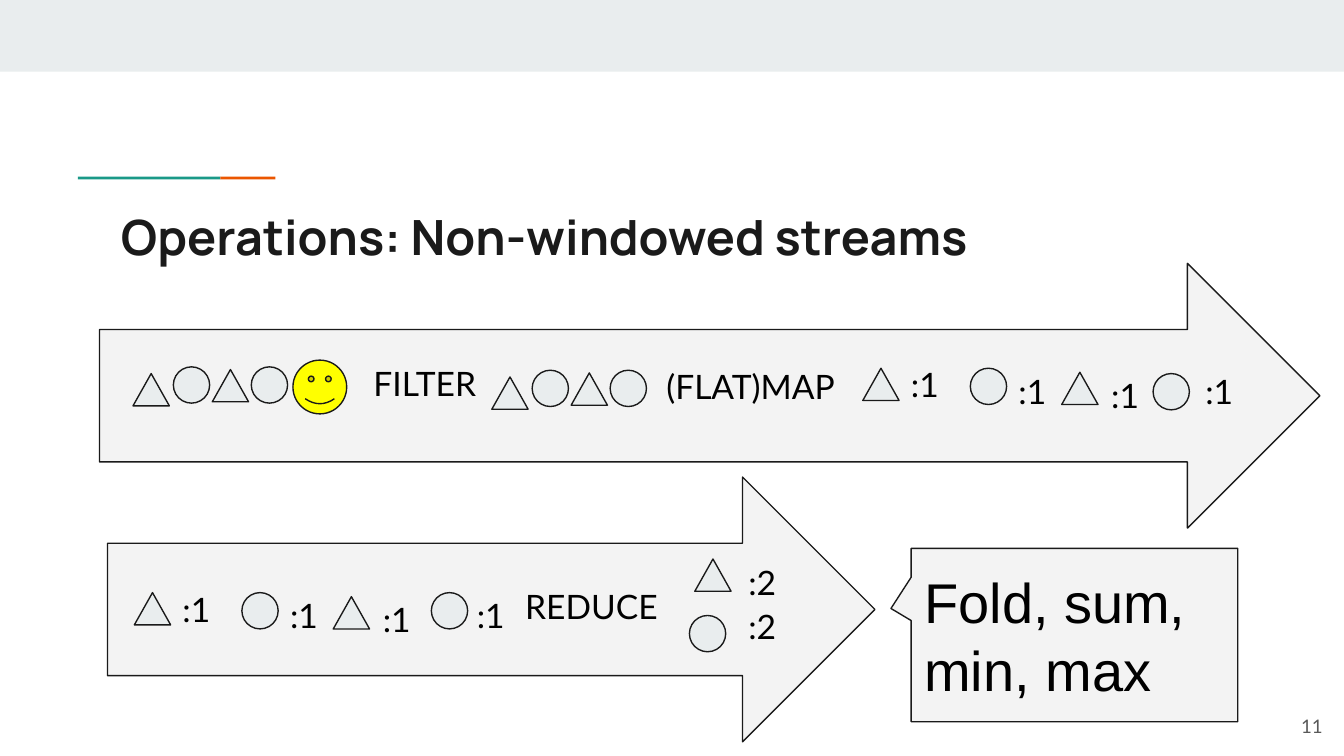
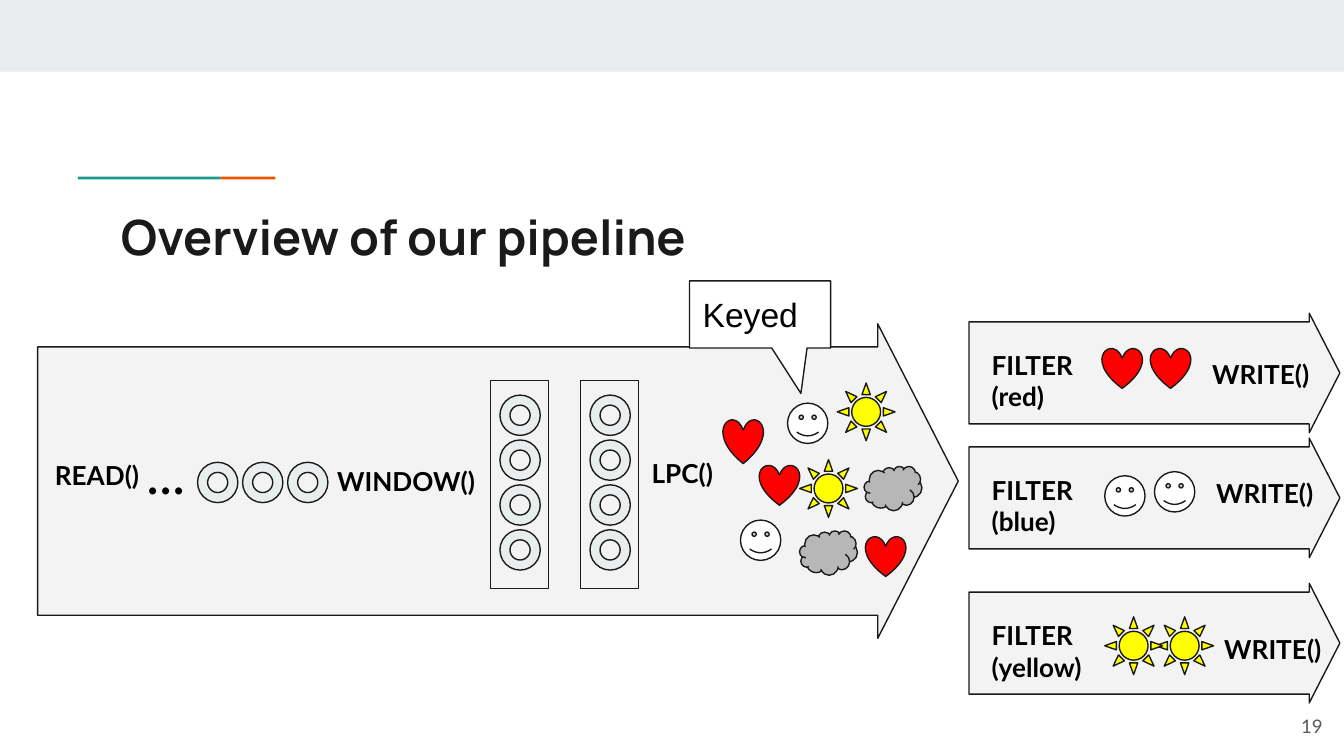
from pptx import Presentation
from pptx.dml.color import RGBColor
from pptx.enum.shapes import MSO_SHAPE as SHAPE
from pptx.enum.text import MSO_ANCHOR as ANCHOR, MSO_AUTO_SIZE as AUTO, PP_ALIGN as ALIGN
from pptx.util import Inches, Pt

# Lengths are grid cells: 100 columns across a 16:9 slide, square cells
COLS, ROWS = 100, 56.25
CELL = Inches(0.1)

INK, BLACK, NUMBER = "1A1A1A", "000000", "595959"
BAND, TEAL, ORANGE = "E9EDEE", "1A9988", "EB5600"
PANEL, WHITE, YELLOW, RED, GREY = "F3F3F3", "FFFFFF", "FFFF00", "FF0000", "B7B7B7"

# Stream elements: preset, fill, width, height
ICONS = {
    "triangle": (SHAPE.ISOSCELES_TRIANGLE, BAND, 2.7, 2.4),
    "dot": (SHAPE.OVAL, BAND, 2.7, 2.7),
    "big face": (SHAPE.SMILEY_FACE, YELLOW, 4, 4),
    "face": (SHAPE.SMILEY_FACE, WHITE, 3, 3),
    "donut": (SHAPE.DONUT, BAND, 3, 3),
    "heart": (SHAPE.HEART, RED, 3, 3),
    "tall heart": (SHAPE.HEART, RED, 3, 3.3),
    "sun": (SHAPE.SUN, YELLOW, 4.3, 4.3),
    "cloud": (SHAPE.CLOUD, GREY, 4.3, 3.3),
}
PIPE_ARROW = (0.853, 0.256)


def rgb(hex_color):
    return RGBColor.from_string(hex_color)


def cells(*values):
    return [int(v * CELL) for v in values]


# Text
def write(tf, text, size, font="Lato", color=BLACK, bold=False,
          align=ALIGN.LEFT, anchor=ANCHOR.TOP):
    tf.text = text
    tf.word_wrap = True
    tf.auto_size = AUTO.NONE
    tf.vertical_anchor = anchor
    tf.margin_left = tf.margin_right = tf.margin_top = tf.margin_bottom = CELL
    for p in tf.paragraphs:
        p.alignment = align
        for r in p.runs:
            r.font.name, r.font.size, r.font.bold = font, Pt(size), bold
            r.font.color.rgb = rgb(color)


def add_label(s, text, x, y, w, h=5.9, size=18, **style):
    write(s.shapes.add_textbox(*cells(x, y, w, h)).text_frame, text, size, **style)


def add_step(s, text, x, y, w, h=5):
    add_label(s, text, x, y, w, h, size=14, bold=True)


# Shapes
def add_preset(s, preset, x, y, w, h, fill=None, line=INK, adj=()):
    sp = s.shapes.add_shape(preset, *cells(x, y, w, h))
    sp.shadow.inherit = False
    if fill:
        sp.fill.solid()
        sp.fill.fore_color.rgb = rgb(fill)
    else:
        sp.fill.background()
    if line:
        sp.line.color.rgb = rgb(line)
        sp.line.width = Pt(0.75)
    else:
        sp.line.fill.background()
    for i, value in enumerate(adj):
        sp.adjustments[i] = value
    return sp


def add_arrow(s, x, y, w, h, adj=(0.5, 0.5)):
    add_preset(s, SHAPE.RIGHT_ARROW, x, y, w, h, PANEL, adj=adj)


def add_icons(s, name, *points):
    preset, fill, w, h = ICONS[name]
    for x, y in points:
        add_preset(s, preset, x, y, w, h, fill)


def add_callout(s, preset, text, box, fill, adj, size):
    sp = add_preset(s, preset, *box, fill, adj=adj)
    write(sp.text_frame, text, size, font="Arial", anchor=ANCHOR.MIDDLE)


# Shared slide parts
def decorate(layout, s):
    """Draw the band and the two-colour rule, then move them to the layout."""
    for color, box in ((BAND, (0, 0, COLS, 5.33)),
                       (ORANGE, (16.4, 13.15, 4.1, 0.2)),
                       (TEAL, (5.8, 13.15, 10.6, 0.2))):
        sp = add_preset(s, SHAPE.RECTANGLE, *box, color, line=None)
        layout.shapes.element.insert(2, sp.element)


def add_slide(prs, layout, title, number):
    s = prs.slides.add_slide(layout)
    sp = s.shapes.title
    sp.left, sp.top, sp.width, sp.height = cells(8, 14.4, 84.1, 5.9)
    write(sp.text_frame, title, 26, font="Manrope", color=INK, bold=True)
    add_label(s, number, 93.4, 51.9, 6, 4.3, size=10, color=NUMBER,
              align=ALIGN.RIGHT, anchor=ANCHOR.MIDDLE)
    return s


# Slide 1 parts
def add_mixed_run(s, x, y):
    """Triangle, dot, triangle, dot."""
    add_icons(s, "triangle", (x, y + 0.5), (x + 5.9, y + 0.2))
    add_icons(s, "dot", (x + 3, y), (x + 8.8, y))


def add_counted_run(s, x, y, last_dot):
    """The same four elements, each followed by its count."""
    add_icons(s, "triangle", (x, y + 1.3), (x + 14.8, y + 1.6))
    add_icons(s, "dot", (x + 8, y + 1.3), last_dot)
    for dx, dy in ((2.6, 0), (10.6, 0.5), (17.5, 0.8), (24.5, 0.5)):
        add_label(s, ":1", x + dx, y + dy, 5.4, 4)


def draw_operations(s):
    # Filter and map
    add_arrow(s, 7.4, 19.6, 90.8, 19.7)
    add_mixed_run(s, 9.9, 27.3)
    add_icons(s, "big face", (21.8, 26.8))
    add_label(s, "FILTER", 26.8, 26, 9.9)
    add_mixed_run(s, 36.6, 27.55)
    add_label(s, "(FLAT)MAP", 48.6, 26.2, 15.6)
    add_counted_run(s, 64.2, 26.1, last_dot=(85.8, 27.8))

    # Reduce
    add_arrow(s, 8, 35.5, 57.1, 19.7)
    add_counted_run(s, 10, 42.8, last_dot=(32.1, 44.1))
    add_label(s, "REDUCE", 38.1, 42.6, 12)
    add_icons(s, "triangle", (51.7, 41.6))
    add_icons(s, "dot", (51.3, 45.8))
    for y in (40.8, 44.1):
        add_label(s, ":2", 54.7, y, 5.4, 4)
    add_callout(s, SHAPE.RECTANGULAR_CALLOUT, "Fold, sum, min, max",
                (67.8, 40.8, 24.3, 12.9), PANEL, (-0.562, -0.153), 30)


# Slide 2 parts
def add_window(s, x, y=28.3):
    add_preset(s, SHAPE.RECTANGLE, x, y, 4.3, 15.5)
    add_icons(s, "donut", *((x + 0.7, y + 1.1 + 3.34 * i) for i in range(4)))


def add_branch(s, y, key, icon, points, write_at):
    add_arrow(s, 72.1, y, 27.6, 8.9, PIPE_ARROW)
    add_step(s, f"FILTER\n({key})", 72.8, y + 1.7, 9.9)
    add_icons(s, icon, *points)
    add_step(s, "WRITE()", *write_at, 10.5)


def draw_pipeline(s):
    add_arrow(s, 2.8, 24.1, 68.5, 23.4, PIPE_ARROW)

    # Read and window
    add_step(s, "READ()", 3.1, 33.2, 9.1)
    add_label(s, "...", 9.9, 31.6, 5.5, size=30)
    add_icons(s, "donut", *((14.7 + 3.35 * i, 34.4) for i in range(3)))
    add_step(s, "WINDOW()", 24.1, 33.6, 12.4, 8)
    for x in (36.5, 43.2):
        add_window(s, x)
    add_step(s, "LPC()", 47.5, 33, 8.2, 5.9)

    # Keyed elements
    add_icons(s, "heart", (64.4, 39.9), (56.5, 34.6))
    add_icons(s, "tall heart", (53.8, 31.2))
    add_icons(s, "sun", (62.3, 28.5), (59.5, 34.2))
    add_icons(s, "face", (55.1, 38.7), (58.6, 30))
    add_icons(s, "cloud", (59.5, 39.5), (64.3, 34.7))
    add_callout(s, SHAPE.ROUNDED_RECTANGULAR_CALLOUT, "Keyed",
                (51.3, 20.9, 10.5, 5), WHITE, (0.29, 1.175, 0), 18)

    # One branch for each key
    add_branch(s, 23.3, "red", "heart", ((82, 25.9), (85.6, 25.9)), (89.2, 25.7))
    add_branch(s, 32.6, "blue", "face", ((85.9, 35.1), (82.2, 35.4)), (89.5, 34.5))
    add_branch(s, 43.4, "yellow", "sun", ((86, 45.9), (82.2, 45.9)), (90.1, 46.1))


def main():
    prs = Presentation()
    prs.slide_width, prs.slide_height = cells(COLS, ROWS)
    layout = prs.slide_layouts[5]

    s = add_slide(prs, layout, "Operations: Non-windowed streams", "11")
    decorate(layout, s)
    draw_operations(s)

    draw_pipeline(add_slide(prs, layout, "Overview of our pipeline", "19"))
    prs.save("out.pptx")


if __name__ == "__main__":
    main()
